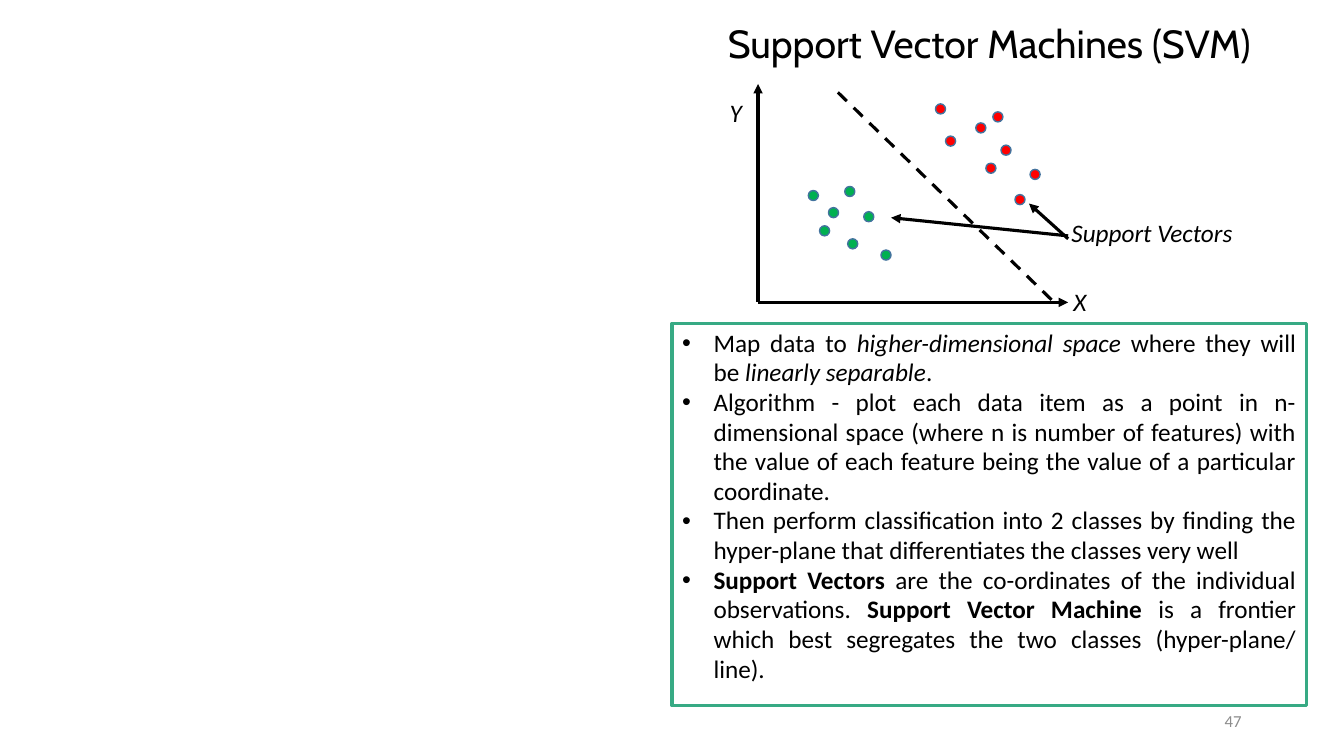
"""Builds the slide on support vector machines: a scatter diagram above a list of notes."""
import dataclasses

import lxml.etree
import pptx
import pptx.dml.color
import pptx.enum.dml
import pptx.enum.shapes
import pptx.enum.text
import pptx.oxml.ns
import pptx.util

Pt = pptx.util.Pt
RGB = pptx.dml.color.RGBColor.from_string
PP_ALIGN = pptx.enum.text.PP_ALIGN
AUTO_SIZE = pptx.enum.text.MSO_AUTO_SIZE
ANCHOR = pptx.enum.text.MSO_ANCHOR
qn = pptx.oxml.ns.qn


@dataclasses.dataclass(frozen=True)
class Theme:
    ink: str = "000000"
    frame: str = "37AA84"
    green: str = "00B050"
    red: str = "FF0000"
    rim: str = "43739E"
    muted: str = "8C8C8C"
    heading_font: str = "Cabin"
    text_font: str = "Calibri"
    heading_size: float = 28
    text_size: float = 18
    number_size: float = 12
    stroke: float = 2.25


theme = Theme()


def write(paragraph, text, size=theme.text_size, color=theme.ink, font=theme.text_font, style=""):
    run = paragraph.add_run()
    run.text = text
    run.font.size = Pt(size)
    run.font.name = font
    run.font.color.rgb = RGB(color)
    run.font.bold = style == "bold"
    run.font.italic = style == "italic"


def draw_line(shapes, start, end, arrow=None, dash=None):
    line = shapes.add_connector(
        pptx.enum.shapes.MSO_CONNECTOR.STRAIGHT, *(Pt(value) for value in start + end))
    line.line.color.rgb = RGB(theme.ink)
    line.line.width = Pt(theme.stroke)
    if dash:
        line.line.dash_style = dash
    properties = line._element.spPr
    if arrow:
        lxml.etree.SubElement(properties.find(qn("a:ln")), qn("a:" + arrow), type="triangle")
    lxml.etree.SubElement(properties, qn("a:effectLst"))


deck = pptx.Presentation()
deck.slide_width, deck.slide_height = Pt(960), Pt(540)
slide = deck.slides.add_slide(deck.slide_layouts[1])

heading = slide.shapes.title
heading.left, heading.top, heading.width, heading.height = Pt(480), Pt(10.8), Pt(453), Pt(44)
heading.text_frame.auto_size = AUTO_SIZE.NONE
heading.text_frame.vertical_anchor = ANCHOR.MIDDLE
heading_line = heading.text_frame.paragraphs[0]
heading_line.alignment = PP_ALIGN.CENTER
heading_line.line_spacing = 0.9
write(heading_line, "Support Vector Machines (SVM)", theme.heading_size, font=theme.heading_font)

notes = slide.placeholders[1]
notes.left, notes.top, notes.width, notes.height = Pt(480), Pt(231), Pt(453), Pt(273)
notes.line.color.rgb = RGB(theme.frame)
notes.line.width = Pt(theme.stroke)
notes.text_frame.auto_size = AUTO_SIZE.NONE
notes.text_frame.vertical_anchor = ANCHOR.TOP

statements = [
    [("Map data to ", ""), ("higher-dimensional space", "italic"),
     (" where they will be ", ""), ("linearly separable", "italic"), (".", "")],
    [("Algorithm - plot each data item as a point in n-dimensional space "
      "(where n is number of features) with the value of each feature being "
      "the value of a particular coordinate.", "")],
    [("Then perform classification into 2 classes by finding the hyper-plane "
      "that differentiates the classes very well", "")],
    [("Support Vectors", "bold"), (" are the co-ordinates of the individual observations. ", ""),
     ("Support Vector Machine", "bold"),
     (" is a frontier which best segregates the two classes (hyper-plane/ line).", "")],
]
for index, statement in enumerate(statements):
    bullet = notes.text_frame.add_paragraph() if index else notes.text_frame.paragraphs[0]
    bullet.alignment = PP_ALIGN.JUSTIFY
    bullet.space_before = Pt(0)
    bullet.line_spacing = 0.98
    indents = bullet._p.get_or_add_pPr()
    indents.set("marL", str(Pt(22.5)))
    indents.set("indent", str(-Pt(22.5)))
    for text, style in statement:
        write(bullet, text, style=style)

diagram = slide.shapes.add_group_shape().shapes
origin = (541.5, 216)
draw_line(diagram, (541.5, 60), origin, arrow="headEnd")
draw_line(diagram, origin, (763, 216), arrow="tailEnd")
draw_line(diagram, (598.5, 66), (751.5, 214.5), dash=pptx.enum.dml.MSO_LINE.DASH)

classes = {
    theme.green: [(577.4, 136.1), (603.4, 133.2), (585.4, 161.3), (591.8, 148.3),
                  (605.5, 170.6), (617, 151.2), (629.3, 178.6)],
    theme.red: [(668.2, 74.2), (675.4, 97.2), (697, 87.8), (709.2, 79.9),
                (715, 103.7), (704.2, 116.6), (735.8, 121), (725, 139)],
}
for color, points in classes.items():
    for left, top in points:
        point = diagram.add_shape(
            pptx.enum.shapes.MSO_SHAPE.OVAL, Pt(left), Pt(top), Pt(7.2), Pt(7.2))
        point.shadow.inherit = False
        point.fill.solid()
        point.fill.fore_color.rgb = RGB(color)
        point.line.color.rgb = RGB(theme.rim)
        point.line.width = Pt(1)

draw_line(diagram, (763, 168.5), (636.5, 155.5), arrow="tailEnd")
draw_line(diagram, (763, 170.6), (735, 145.4), arrow="tailEnd")

labels = [("X", 759.6, 201, 38), ("Y", 514, 66.2, 38), ("Support Vectors", 758.2, 152, 140.4)]
for text, left, top, width in labels:
    label = diagram.add_textbox(Pt(left), Pt(top), Pt(width), Pt(29)).text_frame
    label.word_wrap = True
    label.auto_size = AUTO_SIZE.SHAPE_TO_FIT_TEXT
    write(label.paragraphs[0], text, style="italic")

page_number = slide.shapes.add_textbox(Pt(678), Pt(500.5), Pt(216), Pt(28.75)).text_frame
page_number.word_wrap = True
page_number.vertical_anchor = ANCHOR.MIDDLE
page_number.paragraphs[0].alignment = PP_ALIGN.RIGHT
write(page_number.paragraphs[0], "47", theme.number_size, theme.muted)

deck.save("out.pptx")
